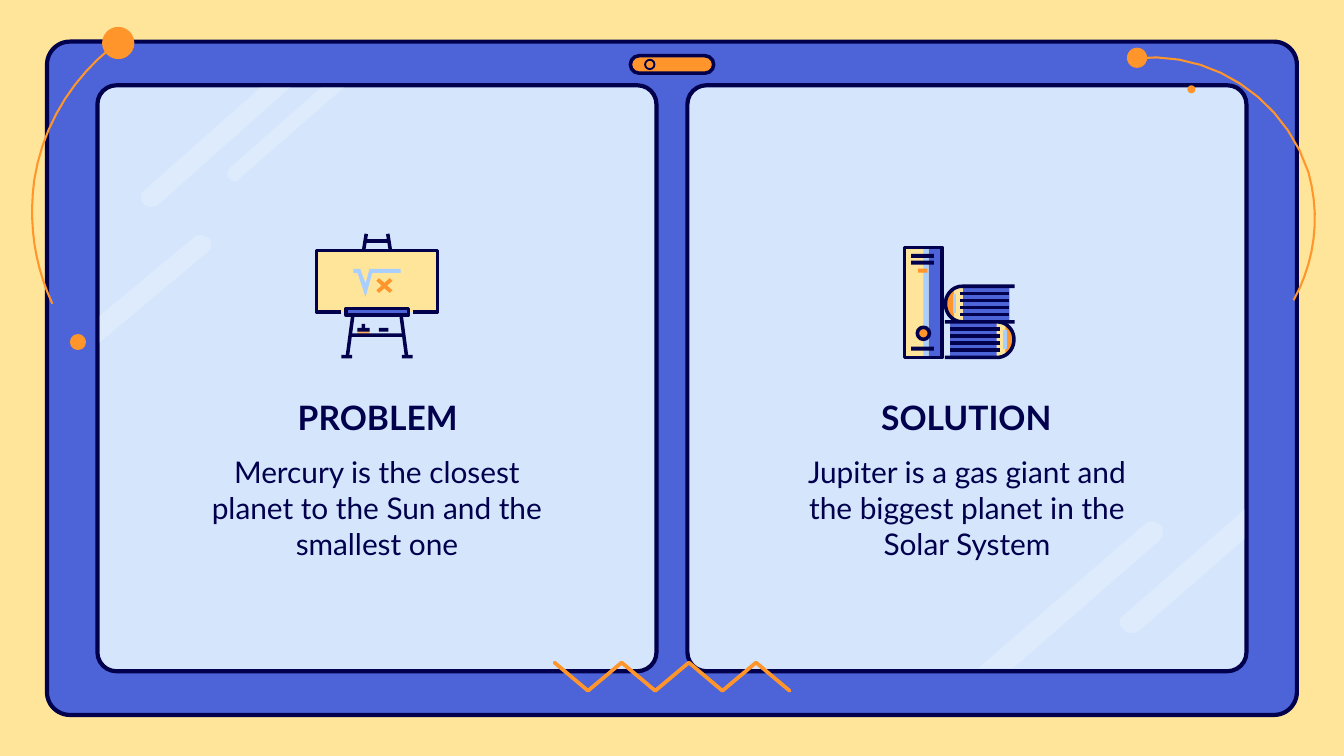
"""Build a problem and solution slide framed as a tablet with two cards."""
from pptx import Presentation
from pptx.dml.color import RGBColor
from pptx.enum.shapes import MSO_SHAPE
from pptx.enum.text import MSO_ANCHOR, PP_ALIGN
from pptx.oxml.ns import qn
from pptx.util import Inches, Pt
from lxml import etree

RECTANGLE, ROUNDED, OVAL = MSO_SHAPE.RECTANGLE, MSO_SHAPE.ROUNDED_RECTANGLE, MSO_SHAPE.OVAL
TOP, BOTTOM, CENTER = MSO_ANCHOR.TOP, MSO_ANCHOR.BOTTOM, PP_ALIGN.CENTER

THEME = {
    "cream": "FFE599", "indigo": "4C64D8", "pale": "D5E6FC", "navy": "00004D",
    "orange": "FF952B", "apricot": "FFB061", "sky": "A8CFFF", "white": "FFFFFF",
    "title": {"name": "Lato", "size": Pt(18), "bold": True},
    "body": {"name": "Lato", "size": Pt(16), "bold": False},
    "frame": 2.25, "icon": 1.9, "arc": 1.1, "zigzag": 2, "lens": 1,
}
COLUMNS = 1000
CURVE_STEPS = 10

presentation = Presentation()
presentation.slide_width = Inches(10)
presentation.slide_height = presentation.slide_width * 9 // 16
CELL = presentation.slide_width // COLUMNS
slide = presentation.slides.add_slide(presentation.slide_layouts[6])
slide.background.fill.solid()
slide.background.fill.fore_color.rgb = RGBColor.from_string(THEME["cream"])


def add_block(kind, box, fill, line=None, weight="icon", shape=None):
    """Add a preset shape, or paint a given one, with theme colours."""
    if shape is None:
        shape = slide.shapes.add_shape(kind, *(round(value * CELL) for value in box))
    shape.shadow.inherit = False
    for part, color in ((shape.fill, fill), (shape.line.fill, line)):
        if color:
            part.solid()
            part.fore_color.rgb = RGBColor.from_string(THEME[color])
        else:
            part.background()
    if line:
        shape.line.width = Pt(THEME[weight])
    return shape


def add_outline(points, fill=None, line=None, weight="icon"):
    """Add a freeform whose six-value points are curves; unfilled ones stay open."""
    path = [points[0]]
    for point in points[1:]:
        if len(point) == 2:
            path.append(point)
            continue
        knots = [path[-1], point[:2], point[2:4], point[4:]]
        for step in range(1, CURVE_STEPS + 1):
            t = step / CURVE_STEPS
            shares = ((1 - t) ** 3, 3 * t * (1 - t) ** 2, 3 * t * t * (1 - t), t ** 3)
            path.append(tuple(sum(s * k[axis] for s, k in zip(shares, knots)) for axis in (0, 1)))
    path = [(x * CELL, y * CELL) for x, y in path]
    builder = slide.shapes.build_freeform(*path[0])
    builder.add_line_segments(path[1:], close=bool(fill))
    return add_block(None, None, fill, line, weight, builder.convert_to_shape())


for box, fill in (((35, 31, 930, 501), "indigo"), ((511.5, 63.5, 416, 436), "pale"),
                  ((72.5, 63.5, 416, 436), "pale")):
    panel = add_block(ROUNDED, box, fill, "navy", "frame")
    panel.adjustments[0] = 0.034

streaks = (
    [(857, 388), (860, 388, 862, 389, 864, 391), (866, 393, 866, 399, 863, 402),
     (754, 497), (728, 497), (852, 390), (853, 388, 855, 388, 857, 388)],
    [(843, 471), (839, 471, 837, 470, 836, 468), (832, 465, 832, 460, 837, 457),
     (926, 379), (926, 401), (848, 469), (846, 470, 844, 471, 843, 471)],
    [(216, 65), (117, 153), (115, 154, 114, 154, 112, 154),
     (110, 154, 108, 153, 107, 152), (104, 149, 104, 144, 107, 142), (194, 65)],
    [(256, 65), (178, 133), (177, 135, 176, 135, 175, 135),
     (173, 135, 171, 134, 171, 133), (168, 131, 169, 127, 171, 125), (239, 65)],
    [(149, 175), (152, 175, 153, 176, 155, 177), (158, 180, 158, 185, 154, 188),
     (74, 255), (74, 235), (144, 177), (145, 176, 147, 175, 149, 175)],
)
for points in streaks:
    streak = add_outline(points, "white")
    color = streak.element.spPr.find(".//" + qn("a:srgbClr"))
    etree.SubElement(color, qn("a:alpha")).set("val", "20000")

camera = add_block(ROUNDED, (469, 41.5, 62, 13), "orange", "navy")
camera.adjustments[0] = 0.5
add_block(OVAL, (480, 44.5, 7, 7), None, "navy", "lens")

for center_x, center_y, diameter in ((88, 32, 24), (58, 254.5, 12), (846, 43, 15), (886.5, 66.5, 6)):
    add_block(OVAL, (center_x - diameter / 2, center_y - diameter / 2, diameter, diameter), "orange")
for arc in ([(39, 226), (26, 198, 21, 167, 25.5, 134), (32, 90, 58, 52, 92, 28.5)],
            [(844, 43.5), (900, 37, 955, 72, 973.5, 128), (983, 162, 978, 195, 962.5, 223.5)]):
    add_outline(arc, line="orange", weight="arc")

zigzag = add_outline([(412.5 + 25 * turn, 493 + 21 * (turn % 2)) for turn in range(8)],
                     line="orange", weight="zigzag")
zigzag.element.spPr.find(qn("a:ln")).set("cap", "rnd")

binder = (
    ((673, 184, 28, 82), "indigo"), ((673, 184, 18, 82), "cream"), ((687, 184, 4, 82), "sky"),
    ((678, 189, 17, 3), "navy"), ((678, 194, 17, 3), "navy"),
    ((678, 258, 17, 3), "navy"), ((683, 200, 7, 3), "orange"),
)
for box, fill in binder:
    add_block(RECTANGLE, box, fill)
add_block(RECTANGLE, (673, 184, 28, 82), None, "navy")
add_block(OVAL, (682.5, 243.5, 9, 9), "orange", "navy")

cover = [(755, 213), (716, 213), (709, 213, 703.5, 219, 703.5, 226),
         (703.5, 233.5, 709, 239.5, 716, 239.5), (755, 239.5)]
pages = [
    ([(751, 213), *cover[1:4], (751, 239.5)], "indigo"),
    ([(710, 214), (707, 217), (703, 225), (705, 231), (710, 238)], "orange"),
    ([(716.5, 213), (710, 214), (710, 239), (716.5, 239)], "cream"),
    ([(709, 219), (711.5, 219), (711.5, 233), (709, 233)], "sky"),
]
for row in range(4):
    top = 217 + 5.25 * row
    pages.append(([(714, top), (751, top), (751, top + 2.7), (714, top + 2.7)], "navy"))
for direction, origin, drop in ((1, 0, 0), (-1, 1458, 26.5)):
    for points, fill in pages + [(cover, None)]:
        placed = [tuple(value + drop if index % 2 else origin + direction * value
                        for index, value in enumerate(point)) for point in points]
        add_outline(placed, fill, None if fill else "navy")

board = (
    ((266, 245, 9, 4.5), "apricot"), ((235, 187, 90.5, 45), "cream"),
    ((261, 248, 39, 2.7), "navy"), ((272, 178, 17, 2.7), "navy"),
    ((254, 264, 8, 2.7), "navy"), ((299, 264, 8, 2.7), "navy"),
    ((266, 244, 9, 2.7), "navy"), ((269, 241, 2.7, 4), "navy"), ((282, 244, 7, 2.7), "navy"),
)
for box, fill in board:
    add_block(RECTANGLE, box, fill)
add_outline([(263, 200), (263, 203), (266, 203), (272, 221), (277, 203), (298, 203),
             (298, 200), (275, 200), (272, 211), (268, 200)], "sky")
add_outline([(282, 207), (280, 209), (284, 212.5), (280, 216), (282, 218), (286, 214.5),
             (290, 218), (292, 216), (288, 212.5), (292, 209), (290, 207), (286, 210.5)], "orange")
for stroke in ([(254, 232), (235.5, 232), (235.5, 186.5), (325.5, 186.5), (325.5, 232), (307, 232)],
               [(272.5, 174), (270.5, 186.5)], [(288.5, 174), (290.5, 186.5)],
               [(262.5, 235), (258.5, 265)], [(298.5, 235), (302.5, 265)]):
    add_outline(stroke, line="navy")
add_block(RECTANGLE, (257.5, 229.5, 46.5, 5), "indigo", "navy")

texts = (
    ((151, 337.5, 259, 84), "body", "Mercury is the closest planet to the Sun and the smallest one"),
    ((590, 337.5, 259, 84), "body", "Jupiter is a gas giant and the biggest planet in the Solar System"),
    ((140, 289, 282, 46), "title", "PROBLEM"),
    ((578, 289, 282, 46), "title", "SOLUTION"),
)
frames = {
    "title": {"vertical_anchor": BOTTOM, "margin": Inches(0.1)},
    "body": {"vertical_anchor": TOP, "margin": 0},
}
for box, style, wording in texts:
    frame = slide.shapes.add_textbox(*(round(value * CELL) for value in box)).text_frame
    frame.word_wrap = True
    frame.vertical_anchor = frames[style]["vertical_anchor"]
    for side in ("left", "right", "top", "bottom"):
        setattr(frame, "margin_" + side, frames[style]["margin"])
    paragraph = frame.paragraphs[0]
    paragraph.alignment = CENTER
    run = paragraph.add_run()
    run.text = wording
    for name, value in THEME[style].items():
        setattr(run.font, name, value)
    run.font.color.rgb = RGBColor.from_string(THEME["navy"])

presentation.save("out.pptx")
